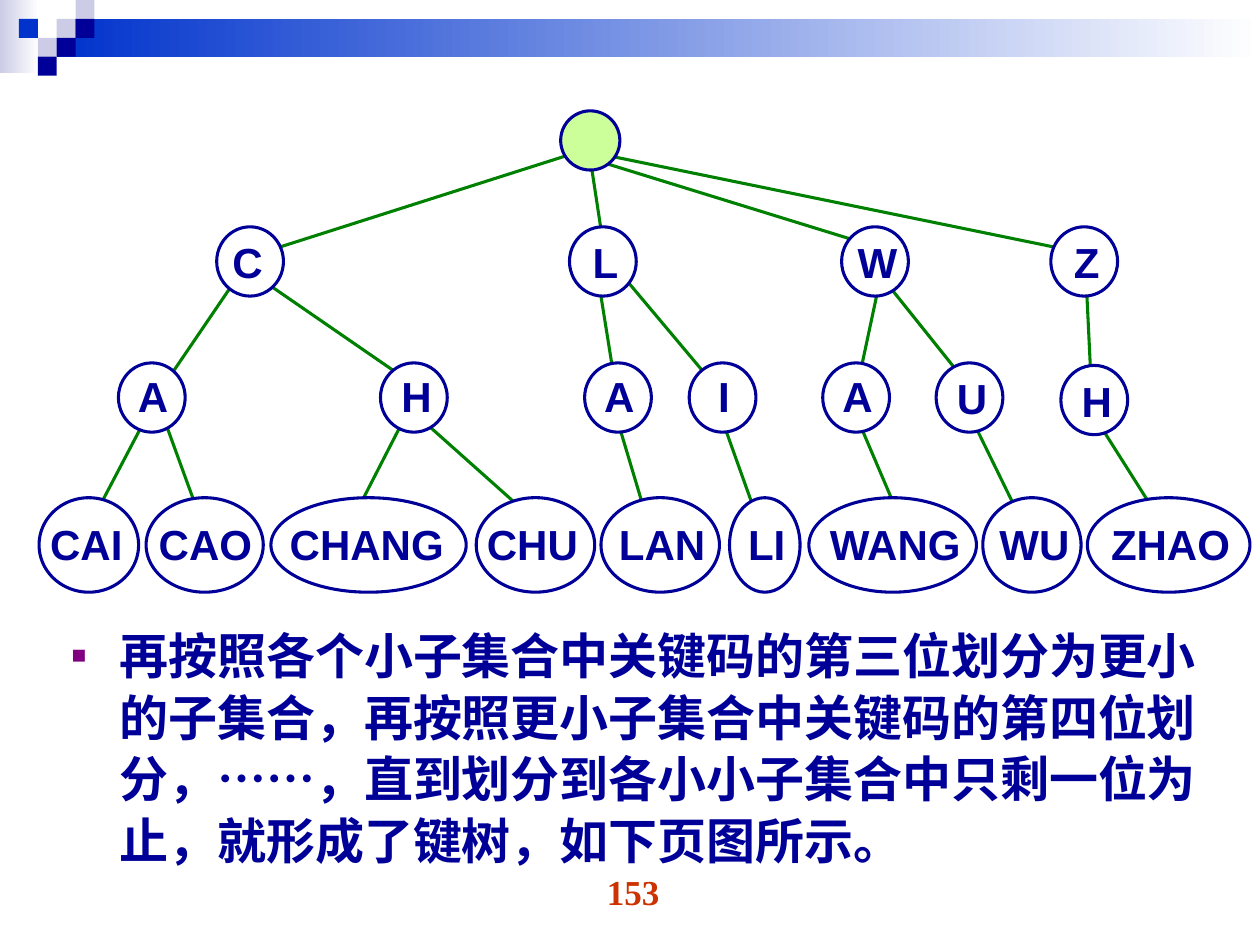
from dataclasses import dataclass

from lxml.etree import SubElement
from pptx import Presentation
from pptx.dml.color import RGBColor as Rgb
from pptx.enum.shapes import MSO_CONNECTOR as Connector, MSO_SHAPE as Shape
from pptx.enum.text import MSO_AUTO_SIZE as AutoSize, PP_ALIGN as Align
from pptx.oxml.ns import qn
from pptx.util import Emu, Pt

PX_PER_INCH = 100
SCALE = 914400 // PX_PER_INCH


@dataclass(frozen=True)
class Theme:
    navy: str = "000099"
    blue: str = "0033CC"
    lilac: str = "CCCCE6"
    white: str = "FFFFFF"
    lime: str = "CCFF99"
    green: str = "008000"
    purple: str = "800080"
    red: str = "CC3300"
    sans: str = "Arial"
    serif: str = "Times New Roman"
    label_size: int = 24
    body_size: int = 28
    number_size: int = 20
    stroke: float = 1.75


THEME = Theme()

CELL = 15
HEADER_CELLS = [
    (3, 1, THEME.lilac), (4, 0, THEME.lilac), (4, 1, THEME.navy),
    (2, 2, THEME.lilac), (1, 1, THEME.blue), (3, 2, THEME.navy),
    (2, 3, THEME.navy),
]

EDGES = [
    (464, 119, 216, 198), (468, 123, 480, 202),
    (472, 127, 689, 194), (480, 123, 846, 198),
    (185, 225, 134, 300), (212, 225, 315, 296),
    (476, 229, 488, 304), (496, 221, 559, 296),
    (697, 229, 681, 304), (704, 225, 764, 300),
    (862, 221, 866, 304),
    (122, 320, 79, 402), (130, 332, 157, 406),
    (323, 328, 283, 406), (338, 336, 421, 410),
    (480, 300, 512, 407), (567, 316, 602, 414),
    (677, 324, 712, 406), (771, 332, 815, 422),
    (862, 320, 917, 407),
]

ROOT = (445, 88, 47, 47)
NODE_SIZE = (53, 55)
LABEL_WIDTH = 71
LABEL_HEIGHT = 50
INNER_NODES = [
    ("C", 172, 180, 161, 183), ("L", 452, 180, 445, 183),
    ("W", 668, 180, 661, 183), ("Z", 834, 180, 827, 183),
    ("A", 94, 288, 86, 289), ("H", 302, 288, 295, 289),
    ("A", 464, 288, 456, 289), ("I", 547, 288, 539, 289),
    ("A", 653, 288, 645, 289), ("U", 743, 288, 736, 291),
    ("H", 842, 290, 835, 293),
]

LEAF_TOP, LEAF_HEIGHT, LEAF_LABEL_TOP = 395, 75, 407
LEAVES = [
    ("CAI", 31, 79, 23, 91), ("CAO", 116, 93, 106, 114),
    ("CHANG", 215, 155, 200, 182), ("CHU", 378, 94, 365, 115),
    ("LAN", 477, 94, 468, 115), ("LI", 579, 56, 563, 91),
    ("WANG", 642, 133, 630, 161), ("WU", 780, 78, 768, 106),
    ("ZHAO", 863, 129, 858, 142),
]

BODY = ("再按照各个小子集合中关键码的第三位划分为更小的子集合，"
        "再按照更小子集合中关键码的第四位划分，……，"
        "直到划分到各小小子集合中只剩一位为止，就形成了键树，如下页图所示。")


def px(*lengths):
    return [Emu(length * SCALE) for length in lengths]


def rgb(color):
    return Rgb.from_string(color)


def add_filled(page, kind, bounds, color):
    shape = page.shapes.add_shape(kind, *px(*bounds))
    shape.shadow.inherit = False
    shape.fill.solid()
    shape.fill.fore_color.rgb = rgb(color)
    shape.line.fill.background()
    return shape


def add_fade(page, bounds, color):
    band = add_filled(page, Shape.RECTANGLE, bounds, color)
    band.fill.gradient()
    band.fill.gradient_angle = 0
    for stop, tint in zip(band.fill.gradient_stops, (color, THEME.white)):
        stop.color.rgb = rgb(tint)


def add_node(page, bounds, color=THEME.white):
    node = add_filled(page, Shape.OVAL, bounds, color)
    node.line.color.rgb = rgb(THEME.navy)
    node.line.width = Pt(THEME.stroke)


def add_edge(page, ends):
    edge = page.shapes.add_connector(Connector.STRAIGHT, *px(*ends))
    edge.line.color.rgb = rgb(THEME.green)
    edge.line.width = Pt(THEME.stroke)
    SubElement(edge.element.spPr, qn("a:effectLst"))


def add_text(page, bounds, text):
    box = page.shapes.add_textbox(*px(*bounds))
    box.text_frame.word_wrap = True
    para = box.text_frame.paragraphs[0]
    para.text = text
    return box, para


def style(para, name, size, color):
    font = para.font
    font.name = name
    font.size = Pt(size)
    font.bold = True
    font.color.rgb = rgb(color)


def add_label(page, bounds, text):
    box, para = add_text(page, bounds, text)
    box.text_frame.auto_size = AutoSize.SHAPE_TO_FIT_TEXT
    para.alignment = Align.CENTER
    style(para, THEME.sans, THEME.label_size, THEME.navy)


def add_bullet(para, indent):
    props = para._p.get_or_add_pPr()
    props.set("marL", str(indent * SCALE))
    props.set("indent", str(-indent * SCALE))
    color = SubElement(props, qn("a:buClr"))
    SubElement(color, qn("a:srgbClr"), val=THEME.purple)
    SubElement(props, qn("a:buSzPct"), val="50000")
    SubElement(props, qn("a:buFont"), typeface=THEME.sans)
    SubElement(props, qn("a:buChar"), char="■")


def add_header(page):
    add_fade(page, (0, 0, 31, 58), THEME.lilac)
    add_fade(page, (45, 15, 955, 30), THEME.blue)
    for column, row, color in HEADER_CELLS:
        bounds = (column * CELL, row * CELL, CELL, CELL)
        add_filled(page, Shape.RECTANGLE, bounds, color)


def add_tree(page):
    for ends in EDGES:
        add_edge(page, ends)
    add_node(page, ROOT, THEME.lime)
    for text, left, top, label_left, label_top in INNER_NODES:
        add_node(page, (left, top, *NODE_SIZE))
        add_label(page, (label_left, label_top, LABEL_WIDTH, LABEL_HEIGHT), text)
    for _, left, width, _, _ in LEAVES:
        add_node(page, (left, LEAF_TOP, width, LEAF_HEIGHT))
    for text, _, _, left, width in LEAVES:
        add_label(page, (left, LEAF_LABEL_TOP, width, LABEL_HEIGHT), text)


def add_body(page):
    _, para = add_text(page, (47, 489, 914, 213), BODY)
    add_bullet(para, 38)
    para.line_spacing = 1.05
    style(para, THEME.serif, THEME.body_size, THEME.navy)


def add_page_number(page):
    _, para = add_text(page, (386, 686, 233, 52), "153")
    para.alignment = Align.CENTER
    style(para, THEME.serif, THEME.number_size, THEME.red)


def main():
    deck = Presentation()
    deck.slide_width, deck.slide_height = px(1000, 750)
    page = deck.slides.add_slide(deck.slide_layouts[6])
    add_header(page)
    add_page_number(page)
    add_body(page)
    add_tree(page)
    deck.save("out.pptx")


if __name__ == "__main__":
    main()
